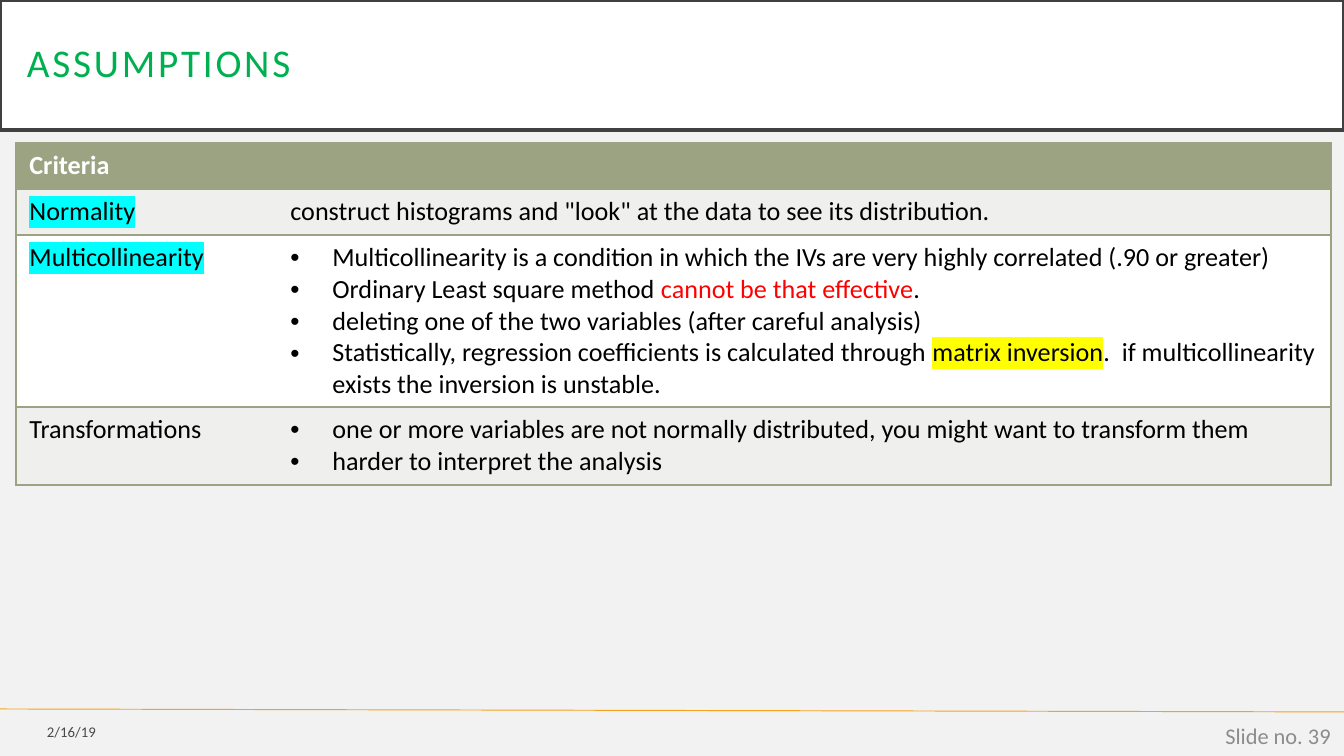
from dataclasses import dataclass

from lxml.etree import SubElement
from pptx import Presentation
from pptx.dml.color import RGBColor
from pptx.enum.shapes import MSO_CONNECTOR
from pptx.enum.text import MSO_ANCHOR, MSO_AUTO_SIZE, PP_ALIGN
from pptx.oxml import parse_xml
from pptx.oxml.ns import nsdecls, qn
from pptx.util import Emu, Pt


@dataclass(frozen=True)
class Theme:
    font: str = "Calibri"
    background: str = "F2F2F2"
    white: str = "FFFFFF"
    black: str = "000000"
    title: str = "00B050"
    title_frame: str = "404040"
    olive: str = "9CA383"
    band: str = "EFF0ED"
    warning: str = "FF0000"
    cyan: str = "00FFFF"
    yellow: str = "FFFF00"
    footer_rule: str = "F6A21D"
    date: str = "494949"
    slide_number: str = "8C8C8C"
    title_size: float = 21
    table_size: float = 14
    date_size: float = 7.9
    number_size: float = 12


THEME = Theme()
EMU_PER_PX = 9144000 / 1344
BULLET_INDENT = 42

CRITERIA = [
    ([[("Criteria", {"color": THEME.white, "bold": True})]], [[]]),
    ([[("Normality", {"highlight": THEME.cyan})]],
     [[('construct histograms and "look" at the data to see its distribution.', {})]]),
    ([[("Multicollinearity", {"highlight": THEME.cyan})]],
     [[("Multicollinearity is a condition in which the IVs are very highly correlated (.90 or greater)", {})],
      [("Ordinary Least square method ", {}),
       ("cannot be that effective", {"color": THEME.warning}),
       (".", {})],
      [("deleting one of the two variables (after careful analysis)", {})],
      [("Statistically, regression coefficients is calculated through ", {}),
       ("matrix inversion", {"highlight": THEME.yellow}),
       (".  if multicollinearity exists the inversion is unstable.", {})]]),
    ([[("Transformations", {})]],
     [[("one or more variables are not normally distributed, you might want to transform them", {})],
      [("harder to interpret the analysis", {})]]),
]
ROW_HEIGHTS = [46, 46, 172, 78]
ROW_FILLS = [THEME.olive, THEME.band, THEME.white, THEME.band]
COLUMN_WIDTHS = [261, 1054]


def px(length):
    return Emu(round(length * EMU_PER_PX))


def rgb(color):
    return RGBColor.from_string(color)


def style_run(run, size, color=THEME.black, bold=False, highlight=None):
    run.font.size = Pt(size)
    run.font.bold = bold
    run.font.name = THEME.font
    run.font.color.rgb = rgb(color)
    if highlight:
        mark = parse_xml(
            f'<a:highlight {nsdecls("a")}><a:srgbClr val="{highlight}"/></a:highlight>')
        run.font._element.find(qn("a:solidFill")).addnext(mark)


def add_title(slide, text):
    title = slide.shapes.title
    title.left, title.top, title.width, title.height = px(0), px(0), px(1344), px(130)
    title.fill.solid()
    title.fill.fore_color.rgb = rgb(THEME.white)
    title.line.color.rgb = rgb(THEME.title_frame)
    title.line.width = Pt(2.5)
    frame = title.text_frame
    frame.text = text
    frame.word_wrap = True
    frame.auto_size = MSO_AUTO_SIZE.NONE
    frame.vertical_anchor = MSO_ANCHOR.MIDDLE
    frame.margin_left = frame.margin_right = px(27)
    frame.margin_top = frame.margin_bottom = px(27)
    heading = frame.paragraphs[0]
    heading.alignment = PP_ALIGN.LEFT
    heading.line_spacing = 0.9
    style_run(heading.runs[0], THEME.title_size, THEME.title)
    heading.runs[0].font._element.set("spc", "150")


def add_footer_text(slide, text, left, top, width, height, size, color):
    footer = slide.shapes.add_textbox(px(left), px(top), px(width), px(height))
    frame = footer.text_frame
    frame.text = text
    frame.word_wrap = True
    frame.vertical_anchor = MSO_ANCHOR.MIDDLE
    frame.paragraphs[0].alignment = PP_ALIGN.RIGHT
    style_run(frame.paragraphs[0].runs[0], size, color)


def add_footer_rule(slide):
    rule = slide.shapes.add_connector(
        MSO_CONNECTOR.STRAIGHT, px(0), px(709), px(1344), px(712))
    rule.line.color.rgb = rgb(THEME.footer_rule)
    rule.line.width = Pt(0.5)
    SubElement(rule._element.spPr, qn("a:effectLst"))


def add_bullet(paragraph):
    properties = paragraph._p.get_or_add_pPr()
    properties.set("marL", str(px(BULLET_INDENT)))
    properties.set("indent", str(-px(BULLET_INDENT)))
    SubElement(properties, qn("a:buFont")).set("typeface", "Arial")
    SubElement(properties, qn("a:buChar")).set("char", "•")


def fill_cell(cell, paragraphs, fill):
    cell.fill.solid()
    cell.fill.fore_color.rgb = rgb(fill)
    frame = cell.text_frame
    for index, parts in enumerate(paragraphs):
        paragraph = frame.add_paragraph() if index else frame.paragraphs[0]
        paragraph.font.size = Pt(THEME.table_size)
        if len(paragraphs) > 1:
            add_bullet(paragraph)
        for text, style in parts:
            run = paragraph.add_run()
            run.text = text
            style_run(run, THEME.table_size, **style)


def set_borders(cell, visible_sides):
    properties = cell._tc.get_or_add_tcPr()
    for position, side in enumerate("LRTB"):
        paint = (f'<a:solidFill><a:srgbClr val="{THEME.olive}"/></a:solidFill>'
                 if side in visible_sides else "<a:noFill/>")
        properties.insert(position, parse_xml(
            f'<a:ln{side} {nsdecls("a")} w="{Pt(1)}">{paint}</a:ln{side}>'))


def add_criteria_table(slide):
    table = slide.shapes.add_table(
        len(CRITERIA), len(COLUMN_WIDTHS), px(16), px(143),
        px(sum(COLUMN_WIDTHS)), px(sum(ROW_HEIGHTS))).table
    table.first_row = False
    table.horz_banding = False
    for column, width in zip(table.columns, COLUMN_WIDTHS):
        column.width = px(width)
    for row, height, criterion, fill in zip(table.rows, ROW_HEIGHTS, CRITERIA, ROW_FILLS):
        row.height = px(height)
        for cell, paragraphs, sides in zip(row.cells, criterion, ("LTB", "RTB")):
            fill_cell(cell, paragraphs, fill)
            set_borders(cell, sides)


def main():
    presentation = Presentation()
    presentation.slide_width, presentation.slide_height = px(1344), px(756)
    slide = presentation.slides.add_slide(presentation.slide_layouts[5])
    slide.background.fill.solid()
    slide.background.fill.fore_color.rgb = rgb(THEME.background)
    add_footer_rule(slide)
    add_title(slide, "ASSUMPTIONS")
    add_footer_text(slide, "2/16/19", 0, 714, 109, 36, THEME.date_size, THEME.date)
    add_footer_text(slide, "Slide no. 39", 1042, 716, 302, 40,
                    THEME.number_size, THEME.slide_number)
    add_criteria_table(slide)
    presentation.save("out.pptx")


if __name__ == "__main__":
    main()
